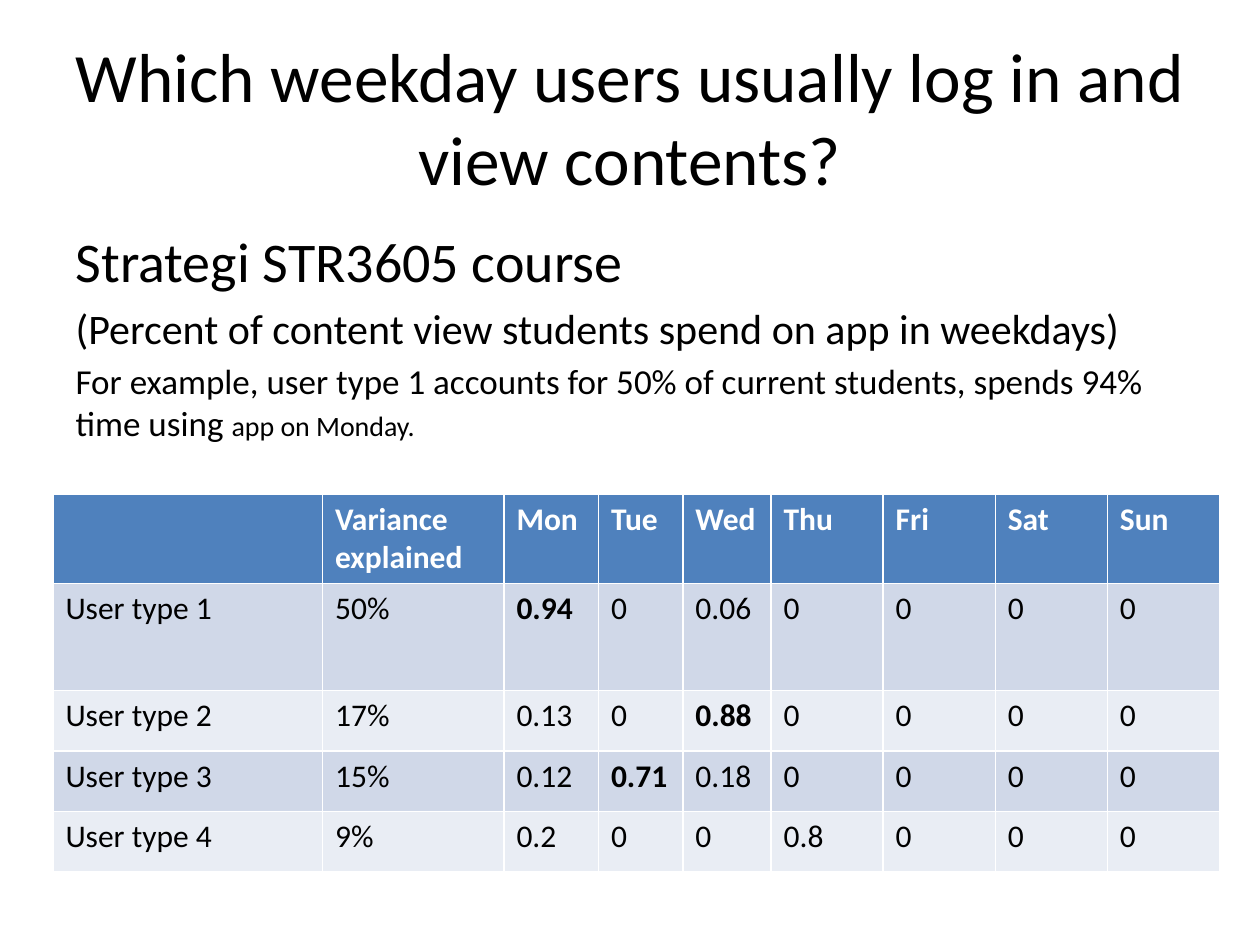
import pptx
import pptx.util
import pptx.dml.color
import pptx.enum.text
import pptx.oxml.xmlchemy
from lxml import etree

COLORS = {
    "text": "000000",
    "header_text": "FFFFFF",
    "header": "4F81BD",
    "odd_row": "D0D8E8",
    "even_row": "E9EDF4",
}
WEEKDAYS = ["Mon", "Tue", "Wed", "Thu", "Fri", "Sat", "Sun"]
USER_TYPES = [
    ["50%", "0.94", "0", "0.06", "0", "0", "0", "0"],
    ["17%", "0.13", "0", "0.88", "0", "0", "0", "0"],
    ["15%", "0.12", "0.71", "0.18", "0", "0", "0", "0"],
    ["9%", "0.2", "0", "0", "0.8", "0", "0", "0"],
]
BOLD_VALUES = {"0.94", "0.88", "0.71"}
COLUMN_WIDTHS = [2.14, 1.44, 0.75, 0.67, 0.7] + [0.89] * 4
ROW_HEIGHTS = [0.48, 0.85] + [0.48] * 3
BODY = [
    [("Strategi STR3605 course", 32)],
    [("(Percent of content view students spend on app in weekdays)", 24)],
    [
        ("For example, user type 1 accounts for 50% of current students, spends 94% time using ", 20),
        ("app on Monday.", 16),
    ],
]


def write(paragraph, text, size=18, color="text", bold=False):
    run = paragraph.add_run()
    run.text = text
    run.font.name = "Calibri"
    run.font.size = pptx.util.Pt(size)
    run.font.bold = bold
    run.font.color.rgb = pptx.dml.color.RGBColor.from_string(COLORS[color])


def place(shape, left, top, width, height):
    shape.left, shape.top, shape.width, shape.height = [
        pptx.util.Inches(length) for length in (left, top, width, height)
    ]


presentation = pptx.Presentation()
presentation.slide_width = pptx.util.Inches(10)
presentation.slide_height = pptx.util.Inches(7.5)
slide = presentation.slides.add_slide(presentation.slide_layouts[1])

title = slide.shapes.title
place(title, 0.5, 0.3, 9, 1.25)
title.text_frame.auto_size = pptx.enum.text.MSO_AUTO_SIZE.NONE
title.text_frame.vertical_anchor = pptx.enum.text.MSO_ANCHOR.MIDDLE
title_paragraph = title.text_frame.paragraphs[0]
title_paragraph.alignment = pptx.enum.text.PP_ALIGN.CENTER
write(title_paragraph, "Which weekday users usually log in and view contents?", size=39.6)

body = slide.placeholders[1]
place(body, 0.5, 1.75, 9, 4.95)
body.text_frame.auto_size = pptx.enum.text.MSO_AUTO_SIZE.NONE
for index, runs in enumerate(BODY):
    paragraph = body.text_frame.add_paragraph() if index else body.text_frame.paragraphs[0]
    properties = paragraph._p.get_or_add_pPr()
    properties.set("marL", "0")
    properties.set("indent", "0")
    etree.SubElement(properties, pptx.oxml.ns.qn("a:buNone"))
    for text, size in runs:
        write(paragraph, text, size=size)

rows = [["", "Variance explained"] + WEEKDAYS]
rows += [[f"User type {number}"] + values for number, values in enumerate(USER_TYPES, 1)]
frame = slide.shapes.add_table(
    len(rows), len(COLUMN_WIDTHS),
    pptx.util.Inches(0.42), pptx.util.Inches(3.92),
    pptx.util.Inches(sum(COLUMN_WIDTHS)), pptx.util.Inches(sum(ROW_HEIGHTS)),
)
table = frame.table
for column, width in zip(table.columns, COLUMN_WIDTHS):
    column.width = pptx.util.Inches(width)
for row, height in zip(table.rows, ROW_HEIGHTS):
    row.height = pptx.util.Inches(height)

for row_index, values in enumerate(rows):
    header = row_index == 0
    fill = "header" if header else ("odd_row" if row_index % 2 else "even_row")
    for column_index, value in enumerate(values):
        cell = table.cell(row_index, column_index)
        cell.fill.solid()
        cell.fill.fore_color.rgb = pptx.dml.color.RGBColor.from_string(COLORS[fill])
        if value:
            write(
                cell.text_frame.paragraphs[0], value,
                color="header_text" if header else "text",
                bold=header or value in BOLD_VALUES,
            )

presentation.save("out.pptx")
